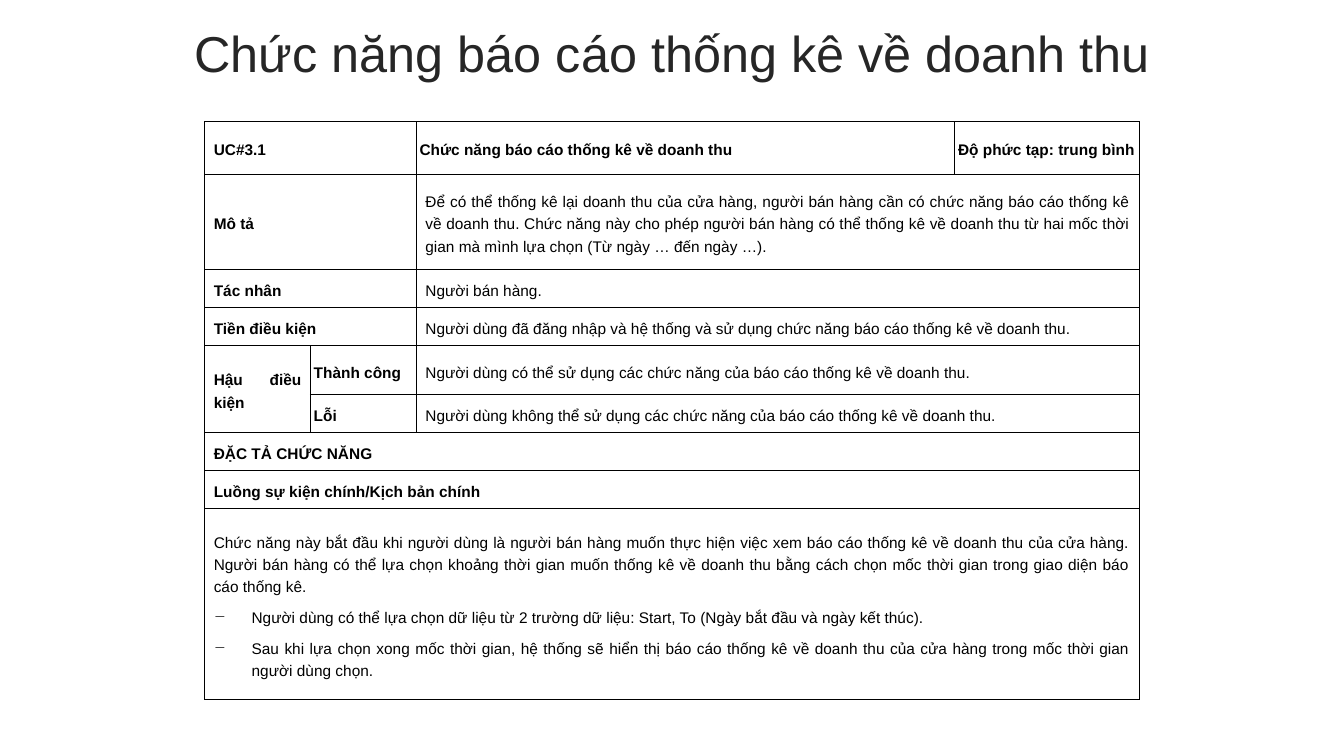
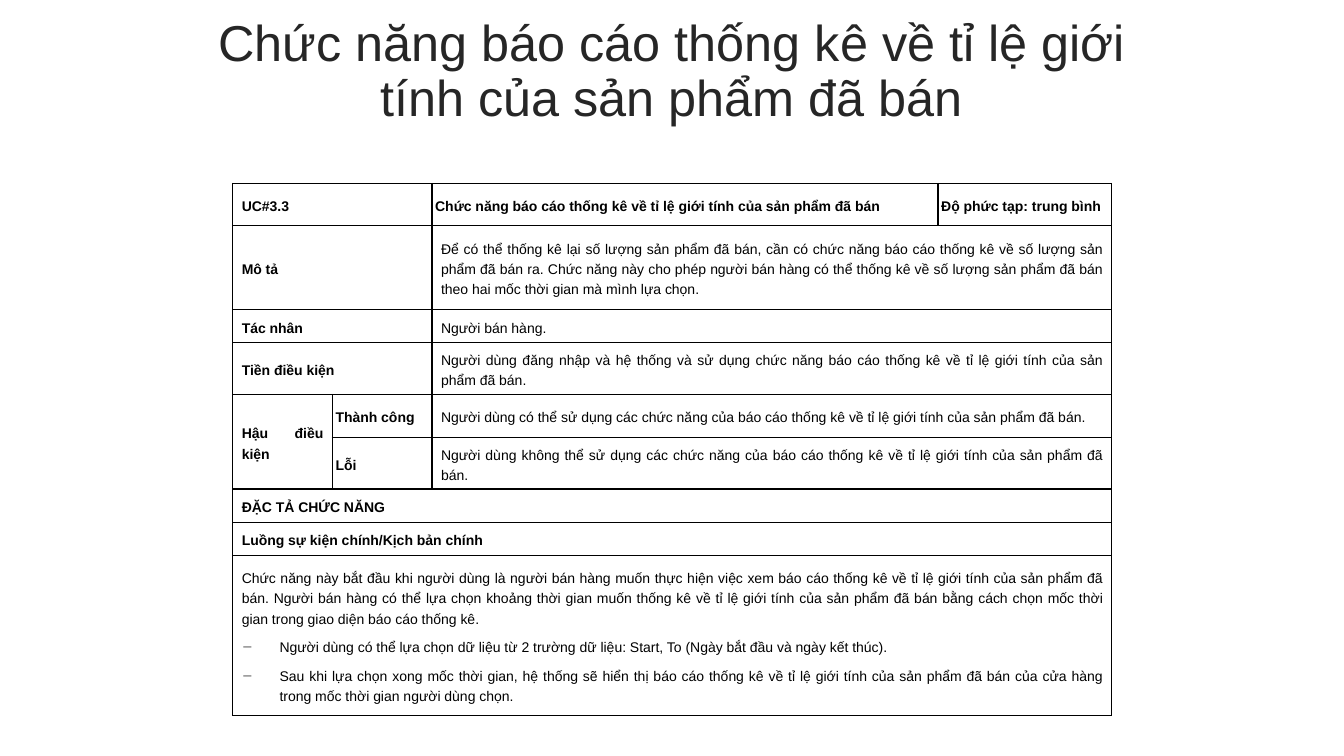
from dataclasses import dataclass

from lxml import etree
from pptx import Presentation
from pptx.dml.color import RGBColor
from pptx.enum.text import MSO_ANCHOR, PP_ALIGN
from pptx.oxml.ns import qn
from pptx.util import Pt

MIDDLE = MSO_ANCHOR.MIDDLE
CENTER, JUSTIFY = PP_ALIGN.CENTER, PP_ALIGN.JUSTIFY
FONT = "Arial"
TITLE_COLOR, TEXT_COLOR, LINE_COLOR = "262626", "000000", "000000"
TITLE_SIZE = 36
LINE_WIDTH = 1
WIDE_INSETS, TIGHT_INSETS = (6.5, 2.9), (2.3, 0)
BULLET, BULLET_INDENT = "−", 27
BLANK_LAYOUT = 6


@dataclass
class UseCase:
    """Texts and layout of one use case slide."""

    code: str
    name: str
    title_box: tuple
    table_origin: tuple
    columns: tuple
    rows: tuple
    size: int
    description: str
    precondition: str
    success: str
    failure: str
    flow: str
    steps: tuple


def color(value):
    """Turn a hex string into a colour."""
    return RGBColor.from_string(value)


def set_font(para, size, value, bold=False):
    """Set the font of a whole paragraph."""
    para.font.name = FONT
    para.font.size = Pt(size)
    para.font.bold = bold
    para.font.color.rgb = color(value)


def add_bullet(para):
    """Give a paragraph a hanging dash."""
    properties = para._p.get_or_add_pPr()
    properties.set("marL", str(Pt(BULLET_INDENT)))
    properties.set("indent", str(-Pt(BULLET_INDENT)))
    etree.SubElement(properties, qn("a:buChar")).set("char", BULLET)


def style_cell(cell):
    """Clear the fill of a cell and draw its four borders."""
    properties = cell._tc.get_or_add_tcPr()
    for side in ("a:lnL", "a:lnR", "a:lnT", "a:lnB"):
        line = etree.SubElement(properties, qn(side), w=str(Pt(LINE_WIDTH)))
        fill = etree.SubElement(line, qn("a:solidFill"))
        etree.SubElement(fill, qn("a:srgbClr"), val=LINE_COLOR)
    cell.fill.background()


def fill_cell(cell, texts, size, bold=False, insets=WIDE_INSETS):
    """Write paragraphs into a cell, with dashes from the second one on."""
    cell.vertical_anchor = MIDDLE
    cell.margin_left = cell.margin_right = Pt(insets[0])
    cell.margin_top = cell.margin_bottom = Pt(insets[1])
    frame = cell.text_frame
    for index, text in enumerate(texts):
        para = frame.add_paragraph() if index else frame.paragraphs[0]
        para.text = text
        para.alignment = JUSTIFY
        para.line_spacing = 1.3
        para.space_before = para.space_after = Pt(3)
        if index:
            add_bullet(para)
        set_font(para, size, TEXT_COLOR, bold)


def add_title(page, box, text):
    """Add a centred title in the given box."""
    frame = page.shapes.add_textbox(*map(Pt, box)).text_frame
    frame.word_wrap = True
    frame.vertical_anchor = MIDDLE
    para = frame.paragraphs[0]
    para.text = text
    para.alignment = CENTER
    para.line_spacing = 0.9
    para.space_before = Pt(10)
    set_font(para, TITLE_SIZE, TITLE_COLOR)


def add_use_case_table(page, case):
    """Add the specification table of a use case."""
    box = (*case.table_origin, sum(case.columns), sum(case.rows))
    table = page.shapes.add_table(
        len(case.rows), len(case.columns), *map(Pt, box)).table
    table.first_row = table.horz_banding = False
    for column, width in zip(table.columns, case.columns):
        column.width = Pt(width)
    for row, height in zip(table.rows, case.rows):
        row.height = Pt(height)
    for cell in table.iter_cells():
        style_cell(cell)

    def put(row, column, *texts, span=(1, 1), **style):
        """Fill a cell that spans the given rows and columns."""
        cell = table.cell(row, column)
        if span != (1, 1):
            cell.merge(table.cell(row + span[0] - 1, column + span[1] - 1))
        fill_cell(cell, texts, case.size, **style)

    label, tight = {"bold": True}, {"bold": True, "insets": TIGHT_INSETS}
    heads = (case.code, "Mô tả", "Tác nhân", "Tiền điều kiện")
    for row, text in enumerate(heads):
        put(row, 0, text, span=(1, 2), **label)
    put(0, 2, case.name, **tight)
    put(0, 3, "Độ phức tạp: trung bình", **tight)
    values = (case.description, "Người bán hàng.", case.precondition,
              case.success, case.failure)
    for row, text in enumerate(values, 1):
        put(row, 2, text, span=(1, 2))
    put(4, 0, "Hậu điều kiện", span=(2, 1), **label)
    put(4, 1, "Thành công", **tight)
    put(5, 1, "Lỗi", **tight)
    put(6, 0, "ĐẶC TẢ CHỨC NĂNG", span=(1, 4), **label)
    put(7, 0, "Luồng sự kiện chính/Kịch bản chính", span=(1, 4), **label)
    put(8, 0, case.flow, *case.steps, span=(1, 4))


def add_use_case_slide(deck, case):
    """Add a slide with the title and table of a use case."""
    page = deck.slides.add_slide(deck.slide_layouts[BLANK_LAYOUT])
    add_title(page, case.title_box, case.name)
    add_use_case_table(page, case)


CHOOSE_DATES = (
    "Người dùng có thể lựa chọn dữ liệu từ 2 trường dữ liệu: Start, To "
    "(Ngày bắt đầu và ngày kết thúc).")

USE_CASES = (
    UseCase(
        code="UC#3.1",
        name="Chức năng báo cáo thống kê về doanh thu",
        title_box=(24.5, 11.5, 911.5, 57),
        table_origin=(146.2, 87),
        columns=(75.6, 75.6, 384.7, 131.8),
        rows=(37.5, 68.2, 27.2, 27.2, 34.8, 27.2, 27.2, 27.2, 136.6),
        size=11,
        description=(
            "Để có thể thống kê lại doanh thu của cửa hàng, người bán hàng "
            "cần có chức năng báo cáo thống kê về doanh thu. Chức năng này "
            "cho phép người bán hàng có thể thống kê về doanh thu từ hai mốc "
            "thời gian mà mình lựa chọn (Từ ngày … đến ngày …)."),
        precondition=(
            "Người dùng đã đăng nhập và hệ thống và sử dụng chức năng báo "
            "cáo thống kê về doanh thu."),
        success=(
            "Người dùng có thể sử dụng các chức năng của báo cáo thống kê "
            "về doanh thu."),
        failure=(
            "Người dùng không thể sử dụng các chức năng của báo cáo thống kê "
            "về doanh thu."),
        flow=(
            "Chức năng này bắt đầu khi người dùng là người bán hàng muốn "
            "thực hiện việc xem báo cáo thống kê về doanh thu của cửa hàng. "
            "Người bán hàng có thể lựa chọn khoảng thời gian muốn thống kê "
            "về doanh thu bằng cách chọn mốc thời gian trong giao diện báo "
            "cáo thống kê."),
        steps=(
            CHOOSE_DATES,
            "Sau khi lựa chọn xong mốc thời gian, hệ thống sẽ hiển thị báo "
            "cáo thống kê về doanh thu của cửa hàng trong mốc thời gian "
            "người dùng chọn."),
    ),
    UseCase(
        code="UC#3.3",
        name=("Chức năng báo cáo thống kê về tỉ lệ giới tính của sản phẩm "
              "đã bán"),
        title_box=(130, 23.5, 700, 57),
        table_origin=(166.2, 131),
        columns=(71.2, 71.2, 361.5, 123.9),
        rows=(30, 60, 23.7, 35, 30.6, 35, 23.7, 23.7, 114.4),
        size=10,
        description=(
            "Để có thể thống kê lại số lượng sản phẩm đã bán, cần có chức "
            "năng báo cáo thống kê về số lượng sản phẩm đã bán ra. Chức năng "
            "này cho phép người bán hàng có thể thống kê về số lượng sản "
            "phẩm đã bán theo hai mốc thời gian mà mình lựa chọn."),
        precondition=(
            "Người dùng đăng nhập và hệ thống và sử dụng chức năng báo cáo "
            "thống kê về tỉ lệ giới tính của sản phẩm đã bán."),
        success=(
            "Người dùng có thể sử dụng các chức năng của báo cáo thống kê "
            "về tỉ lệ giới tính của sản phẩm đã bán."),
        failure=(
            "Người dùng không thể sử dụng các chức năng của báo cáo thống kê "
            "về tỉ lệ giới tính của sản phẩm đã bán."),
        flow=(
            "Chức năng này bắt đầu khi người dùng là người bán hàng muốn "
            "thực hiện việc xem báo cáo thống kê về tỉ lệ giới tính của sản "
            "phẩm đã bán. Người bán hàng có thể lựa chọn khoảng thời gian "
            "muốn thống kê về tỉ lệ giới tính của sản phẩm đã bán bằng cách "
            "chọn mốc thời gian trong giao diện báo cáo thống kê."),
        steps=(
            CHOOSE_DATES,
            "Sau khi lựa chọn xong mốc thời gian, hệ thống sẽ hiển thị báo "
            "cáo thống kê về tỉ lệ giới tính của sản phẩm đã bán của cửa "
            "hàng trong mốc thời gian người dùng chọn."),
    ),
)


def main():
    """Build the deck and save it."""
    deck = Presentation()
    deck.slide_width, deck.slide_height = Pt(960), Pt(540)
    for case in USE_CASES:
        add_use_case_slide(deck, case)
    deck.save("out.pptx")


if __name__ == "__main__":
    main()
